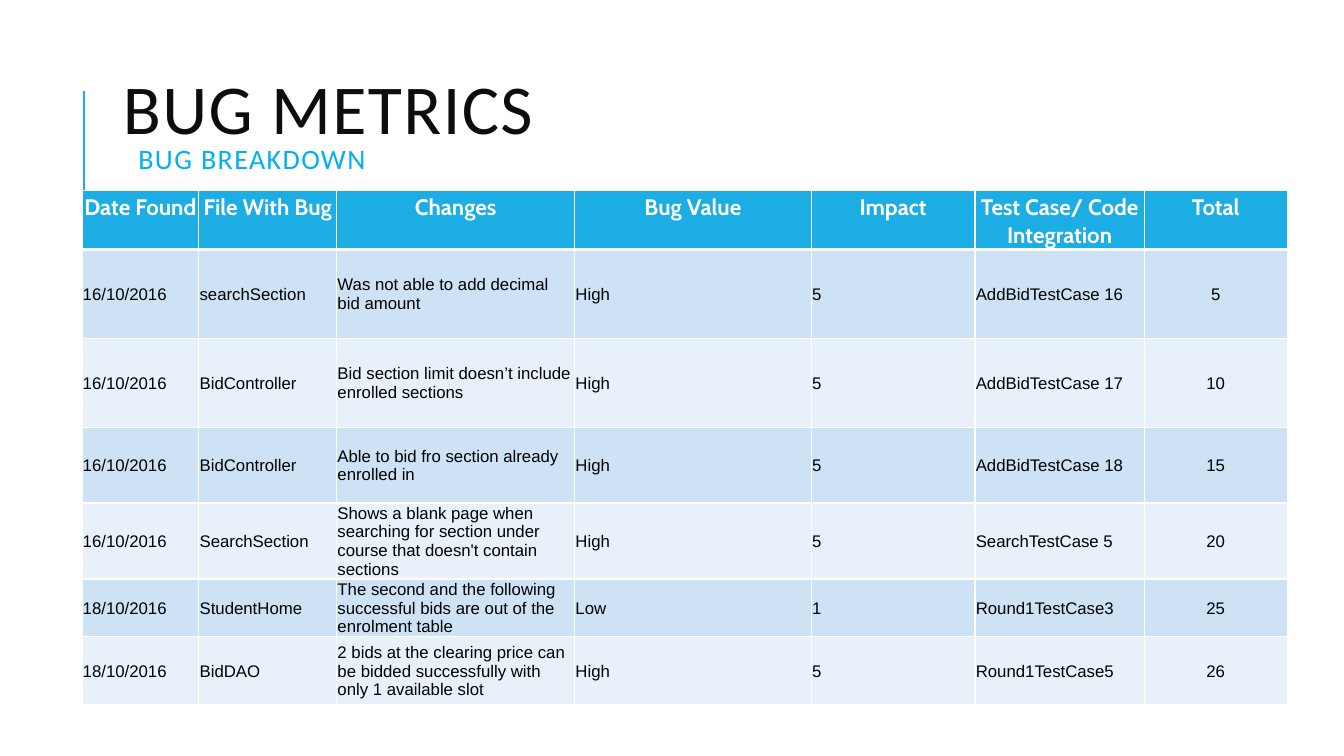
from dataclasses import dataclass

from lxml import etree
from pptx import Presentation
from pptx.dml.color import RGBColor
from pptx.enum.shapes import MSO_CONNECTOR
from pptx.enum.text import MSO_ANCHOR, MSO_AUTO_SIZE, PP_ALIGN
from pptx.oxml.ns import qn
from pptx.util import Pt

LEFT, CENTER = PP_ALIGN.LEFT, PP_ALIGN.CENTER
TOP, MIDDLE = MSO_ANCHOR.TOP, MSO_ANCHOR.MIDDLE
STRAIGHT = MSO_CONNECTOR.STRAIGHT
NO_AUTOFIT = MSO_AUTO_SIZE.NONE

TITLE = "BUG METRICS"
SUBTITLE = "BUG BREAKDOWN"
HEADERS = ("Date Found", "File With Bug", "Changes", "Bug Value", "Impact",
           "Test Case/ Code Integration", "Total")
BUGS = [
    ("16/10/2016", "searchSection", "Was not able to add decimal bid amount",
     "High", "5", "AddBidTestCase 16", "5"),
    ("16/10/2016", "BidController", "Bid section limit doesn’t include enrolled sections",
     "High", "5", "AddBidTestCase 17", "10"),
    ("16/10/2016", "BidController", "Able to bid fro section already enrolled in",
     "High", "5", "AddBidTestCase 18", "15"),
    ("16/10/2016", "SearchSection",
     "Shows a blank page when searching for section under course that doesn't contain sections",
     "High", "5", "SearchTestCase 5", "20"),
    ("18/10/2016", "StudentHome",
     "The second and the following successful bids are out of the enrolment table",
     "Low", "1", "Round1TestCase3", "25"),
    ("18/10/2016", "BidDAO",
     "2 bids at the clearing price can be bidded successfully with only 1 available slot",
     "High", "5", "Round1TestCase5", "26"),
]
COL_WIDTHS = (83.5, 98.5, 170, 169, 117, 121, 102)
ROW_HEIGHTS = (40.5, 63.5, 63.5, 54, 54, 41, 49)
TABLE_LEFT, TABLE_TOP = 58.5, 136.3


@dataclass(frozen=True)
class Theme:
    accent: str = "1CADE4"
    subtitle: str = "00B0F0"
    title: str = "0D0D0D"
    white: str = "FFFFFF"
    black: str = "000000"
    bands: tuple = ("CDE3F5", "E8F1FA")
    title_font: str = "Calibri"
    header_font: str = "Cabin"
    body_font: str = "Arial"
    title_size: float = 50
    subtitle_size: float = 20
    header_size: float = 16
    body_size: float = 12


THEME = Theme()


def rgb(color):
    return RGBColor.from_string(color)


def style(p, font, size, color, bold=False):
    for r in p.runs:
        r.font.name, r.font.size, r.font.bold = font, Pt(size), bold
        r.font.color.rgb = rgb(color)


def add_borders(cell, top, bottom):
    """Draw white borders; top and bottom are widths in points."""
    tcPr = cell._tc.get_or_add_tcPr()
    for tag, width in (("a:lnL", 1), ("a:lnR", 1), ("a:lnT", top), ("a:lnB", bottom)):
        ln = etree.SubElement(tcPr, qn(tag), w=str(Pt(width)))
        fill = etree.SubElement(ln, qn("a:solidFill"))
        etree.SubElement(fill, qn("a:srgbClr"), val=THEME.white)


def add_title(s):
    title = s.shapes.title
    title.left, title.top, title.width, title.height = Pt(80.6), Pt(51), Pt(765.4), Pt(80)
    tf = title.text_frame
    tf.text = TITLE
    tf.add_paragraph().text = SUBTITLE
    tf.auto_size, tf.word_wrap, tf.vertical_anchor = NO_AUTOFIT, True, MIDDLE
    looks = ((THEME.title_size, THEME.title), (THEME.subtitle_size, THEME.subtitle))
    for p, (size, color) in zip(tf.paragraphs, looks):
        p.alignment, p.line_spacing = LEFT, 0.8
        p.space_before = p.space_after = Pt(0)
        style(p, THEME.title_font, size, color)
        p.runs[0].font._element.set("spc", "100")
    tf.paragraphs[1]._p.get_or_add_pPr().set("marL", str(Pt(11)))


def add_rule(s):
    rule = s.shapes.add_connector(STRAIGHT, Pt(60), Pt(136.8), Pt(60), Pt(65))
    rule.line.color.rgb, rule.line.width = rgb(THEME.accent), Pt(1.5)
    etree.SubElement(rule._element.spPr, qn("a:effectLst"))


def fill_cell(cell, text, row, col):
    header = row == 0
    add_borders(cell, top=3 if row == 1 else 1, bottom=3 if header else 1)
    cell.fill.solid()
    cell.fill.fore_color.rgb = rgb(THEME.accent if header else THEME.bands[(row - 1) % 2])
    cell.margin_left = cell.margin_right = cell.margin_top = Pt(0.6)
    cell.margin_bottom = Pt(0)
    cell.vertical_anchor = TOP if header else MIDDLE
    cell.text = text
    p = cell.text_frame.paragraphs[0]
    p.alignment = CENTER if header or col == len(HEADERS) - 1 else LEFT
    if header:
        p.line_spacing = 1.07
        style(p, THEME.header_font, THEME.header_size, THEME.white, bold=True)
    else:
        style(p, THEME.body_font, THEME.body_size, THEME.black)


def add_bug_table(s):
    rows = [HEADERS] + BUGS
    table = s.shapes.add_table(len(rows), len(HEADERS), Pt(TABLE_LEFT), Pt(TABLE_TOP),
                               Pt(sum(COL_WIDTHS)), Pt(sum(ROW_HEIGHTS))).table
    for column, width in zip(table.columns, COL_WIDTHS):
        column.width = Pt(width)
    for table_row, height in zip(table.rows, ROW_HEIGHTS):
        table_row.height = Pt(height)
    for row, texts in enumerate(rows):
        for col, text in enumerate(texts):
            fill_cell(table.cell(row, col), text, row, col)


def main():
    prs = Presentation()
    prs.slide_width, prs.slide_height = Pt(960), Pt(540)
    s = prs.slides.add_slide(prs.slide_layouts[5])
    add_title(s)
    add_rule(s)
    add_bug_table(s)
    prs.save("out.pptx")


if __name__ == "__main__":
    main()
